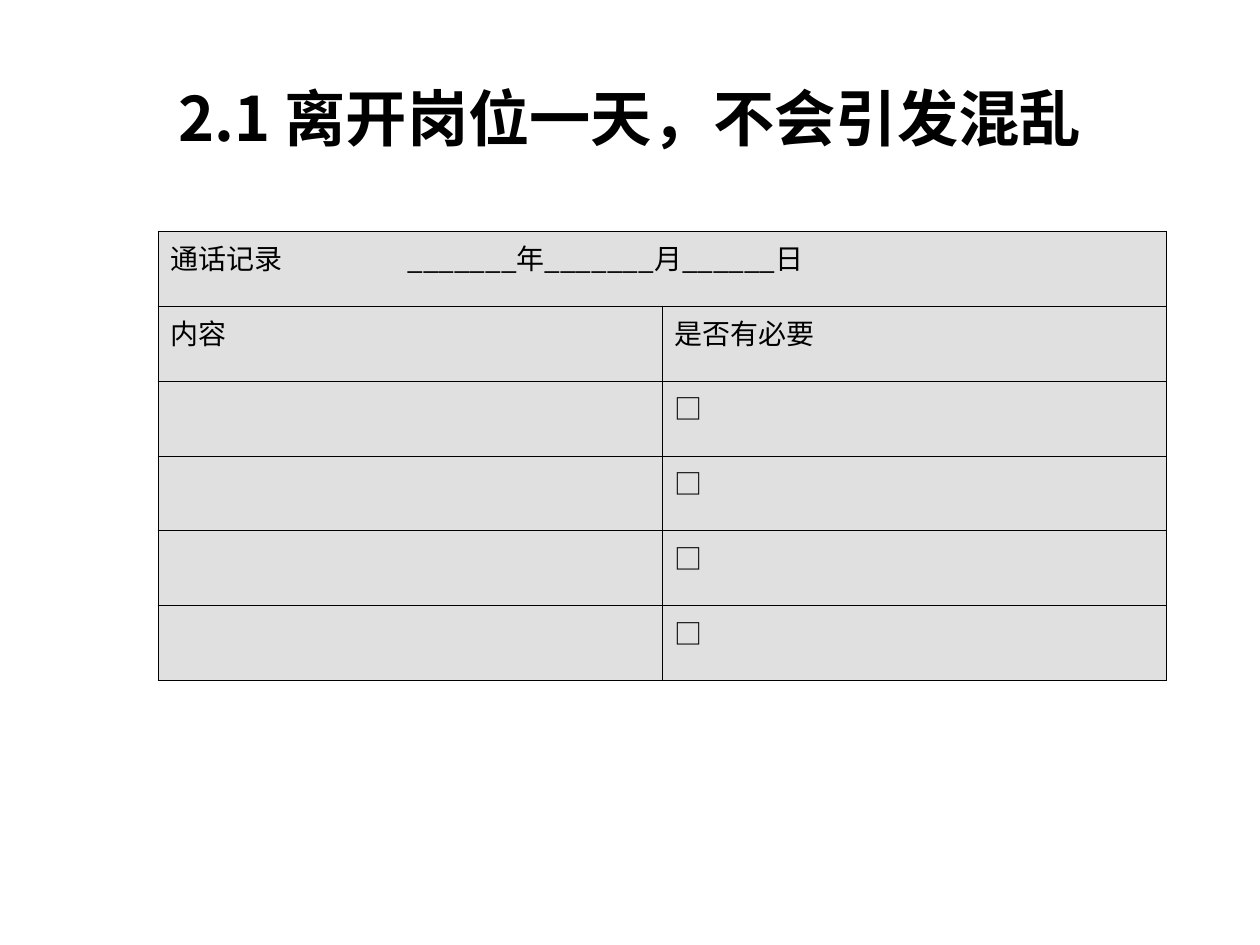
"""Build a slide with a title and a call-record table."""
from lxml import etree
from pptx import Presentation
from pptx.dml.color import RGBColor
from pptx.enum.text import MSO_ANCHOR, PP_ALIGN
from pptx.oxml.ns import qn
from pptx.util import Pt

MIDDLE, CENTER, LEFT = MSO_ANCHOR.MIDDLE, PP_ALIGN.CENTER, PP_ALIGN.LEFT

TITLE = "2.1 离开岗位一天，不会引发混乱"
ROWS = [
    ("通话记录\t\t_______年_______月______日", ""),
    ("内容", "是否有必要"),
] + [("", "□")] * 4

THEME = {
    "font": "Noto Sans CJK SC",
    "ink": RGBColor(0, 0, 0),
    "fill": RGBColor(0xE0, 0xE0, 0xE0),
    "line": "000000",
    "line_width": Pt(0.45),
    "title": {"size": Pt(35), "bold": True},
    "cell": {"size": Pt(16), "bold": False},
}
PX = 914400 / 126
TITLE_BOX = (63, 38, 1134, 158)
TABLE_AT = (158, 231)
COL_W, ROW_H = 504, 75
INDENT, TAB_STEP, TAB_COUNT = 48, 126, 8


def px(n):
    return round(n * PX)


def write(p, text, style, align):
    p.alignment = align
    r = p.add_run()
    r.text = text
    for name, value in {"name": THEME["font"], **THEME[style]}.items():
        setattr(r.font, name, value)
    r.font.color.rgb = THEME["ink"]
    etree.SubElement(r.font._element, qn("a:ea"), typeface=THEME["font"])


def add_tabs(p):
    pPr = p._p.get_or_add_pPr()
    pPr.set("marL", str(px(INDENT)))
    pPr.set("indent", str(-px(INDENT)))
    tabs = etree.SubElement(pPr, qn("a:tabLst"))
    for i in range(TAB_COUNT):
        etree.SubElement(tabs, qn("a:tab"), pos=str(px(i * TAB_STEP)), algn="l")


def format_cell(cell):
    tcPr = cell._tc.get_or_add_tcPr()
    for side in ("lnL", "lnR", "lnT", "lnB"):
        ln = etree.SubElement(tcPr, qn(f"a:{side}"), w=str(THEME["line_width"]))
        solid = etree.SubElement(ln, qn("a:solidFill"))
        etree.SubElement(solid, qn("a:srgbClr"), val=THEME["line"])
    cell.fill.solid()
    cell.fill.fore_color.rgb = THEME["fill"]


def add_title(s):
    sp = s.shapes.title
    for name, n in zip(("left", "top", "width", "height"), TITLE_BOX):
        setattr(sp, name, px(n))
    tf = sp.text_frame
    tf.vertical_anchor = MIDDLE
    write(tf.paragraphs[0], TITLE, "title", CENTER)


def add_record(s):
    size = (2 * COL_W, len(ROWS) * ROW_H)
    table = s.shapes.add_table(len(ROWS), 2, *map(px, TABLE_AT + size)).table
    table.first_row = table.horz_banding = False
    for i, row in enumerate(ROWS):
        for j, text in enumerate(row):
            cell = table.cell(i, j)
            format_cell(cell)
            if text:
                p = cell.text_frame.paragraphs[0]
                add_tabs(p)
                write(p, text, "cell", LEFT)
    table.cell(0, 0).merge(table.cell(0, 1))


def main():
    prs = Presentation()
    prs.slide_width, prs.slide_height = px(1260), px(945)
    s = prs.slides.add_slide(prs.slide_layouts[5])
    add_title(s)
    add_record(s)
    prs.save("out.pptx")


if __name__ == "__main__":
    main()
